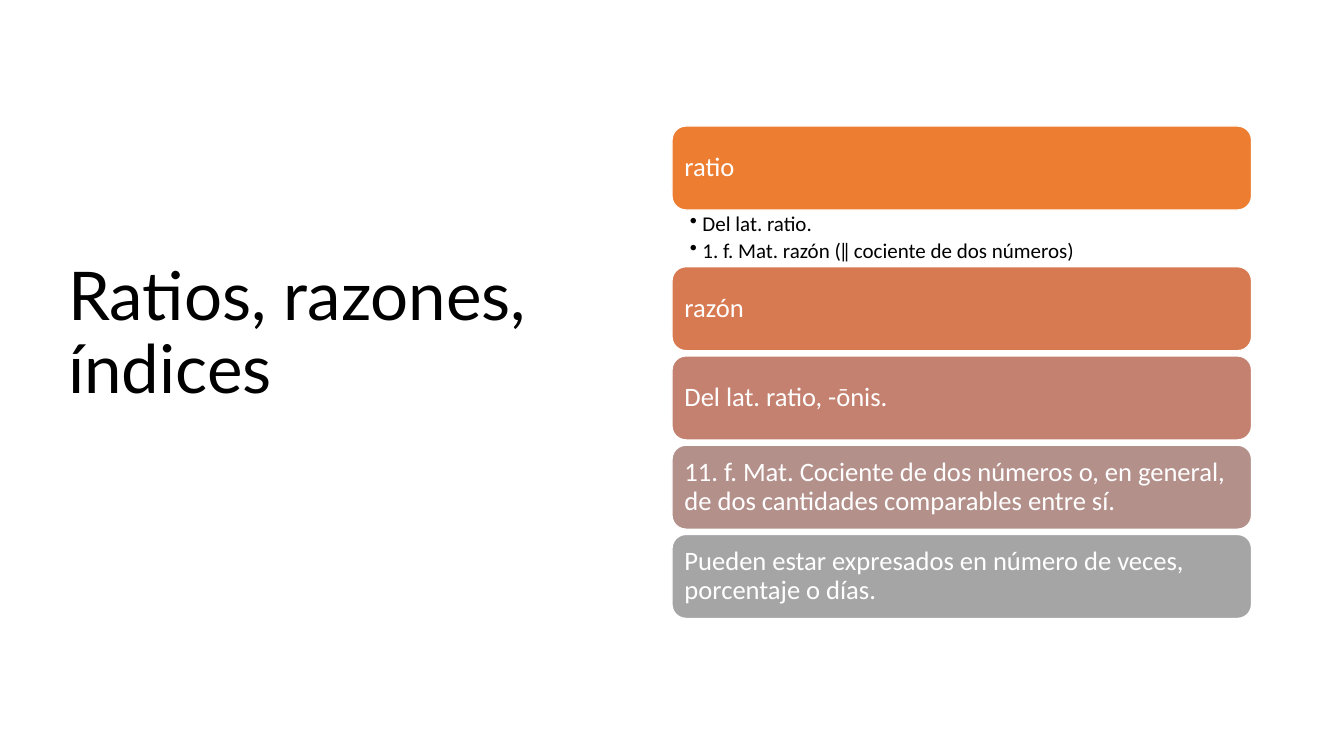
from dataclasses import dataclass

from lxml.etree import SubElement
from pptx import Presentation
from pptx.dml.color import RGBColor
from pptx.enum.shapes import MSO_SHAPE as Shape
from pptx.enum.text import MSO_ANCHOR as Anchor, MSO_AUTO_SIZE as AutoSize, PP_ALIGN as Align
from pptx.oxml.ns import qn
from pptx.util import Emu, Pt

PX = 9525  # EMU per px, 96 px to the inch
LEFT, WIDTH = 640, 552
BAR_HEIGHT, BAR_PITCH = 80, 85
RATIO_TOP, DETAILS_TOP, RAZON_TOP = 120, 200, 254


@dataclass
class Bar:
    text: str
    top: int
    fill: str


def px(length: int) -> Emu:
    return Emu(length * PX)


def color(value: str) -> RGBColor:
    return RGBColor.from_string(value)


def write(frame, lines: list[str], *, size: int, font: str = "Calibri", ink: str = "000000",
          anchor=Anchor.MIDDLE, insets: tuple[int, int, int, int] = (8, 8, 8, 8),
          after: int = 0, bullet_indent: int = 0) -> None:
    """Fill a text frame; insets run left, top, right, bottom."""
    frame.word_wrap = True
    frame.auto_size = AutoSize.NONE
    frame.vertical_anchor = anchor
    (frame.margin_left, frame.margin_top,
     frame.margin_right, frame.margin_bottom) = map(px, insets)
    for index, line in enumerate(lines):
        paragraph = frame.add_paragraph() if index else frame.paragraphs[0]
        paragraph.text = line
        paragraph.alignment = Align.LEFT
        paragraph.line_spacing = 0.9
        paragraph.space_after = Pt(after)
        if bullet_indent:
            properties = paragraph._p.get_or_add_pPr()
            properties.set("marL", str(px(bullet_indent)))
            properties.set("indent", str(-px(bullet_indent)))
            SubElement(properties, qn("a:buChar"), char="•")
        paragraph.font.size = Pt(size)
        paragraph.font.name = font
        paragraph.font.color.rgb = color(ink)


def draw_bar(slide, bar: Bar) -> None:
    shape = slide.shapes.add_shape(Shape.ROUNDED_RECTANGLE, px(LEFT), px(bar.top),
                                   px(WIDTH), px(BAR_HEIGHT))
    shape.shadow.inherit = False
    shape.fill.solid()
    shape.fill.fore_color.rgb = color(bar.fill)
    shape.line.color.rgb = color("FFFFFF")
    shape.line.width = Pt(1)
    write(shape.text_frame, [bar.text], size=19, ink="FFFFFF")


def main() -> None:
    deck = Presentation()
    deck.slide_width, deck.slide_height = px(1280), px(720)
    slide = deck.slides.add_slide(deck.slide_layouts[5])

    # Title, raised by a deep bottom inset
    title = slide.shapes.title
    title.left, title.top, title.width, title.height = map(px, (55, 65, 544, 578))
    write(title.text_frame, ["Ratios, razones, índices"], size=48, font="Lato",
          insets=(10, 5, 10, 74))

    # First term and its definition
    draw_bar(slide, Bar("ratio", RATIO_TOP, "ED7D31"))
    details = slide.shapes.add_textbox(px(LEFT), px(DETAILS_TOP), px(WIDTH),
                                       px(RAZON_TOP - DETAILS_TOP))
    write(details.text_frame,
          ["Del lat. ratio.", "1. f. Mat. razón (‖ cociente de dos números)"],
          size=15, anchor=Anchor.TOP, insets=(17, 3, 14, 3), after=3, bullet_indent=12)

    # Second term and what follows from it
    razon_rows = [
        ("razón", "D87A51"),
        ("Del lat. ratio, -ōnis.", "C48170"),
        ("11. f. Mat. Cociente de dos números o, en general, "
         "de dos cantidades comparables entre sí.", "B4908B"),
        ("Pueden estar expresados en número de veces, porcentaje o días.", "A5A5A5"),
    ]
    for row, (text, fill) in enumerate(razon_rows):
        draw_bar(slide, Bar(text, RAZON_TOP + row * BAR_PITCH, fill))

    deck.save("out.pptx")


if __name__ == "__main__":
    main()
